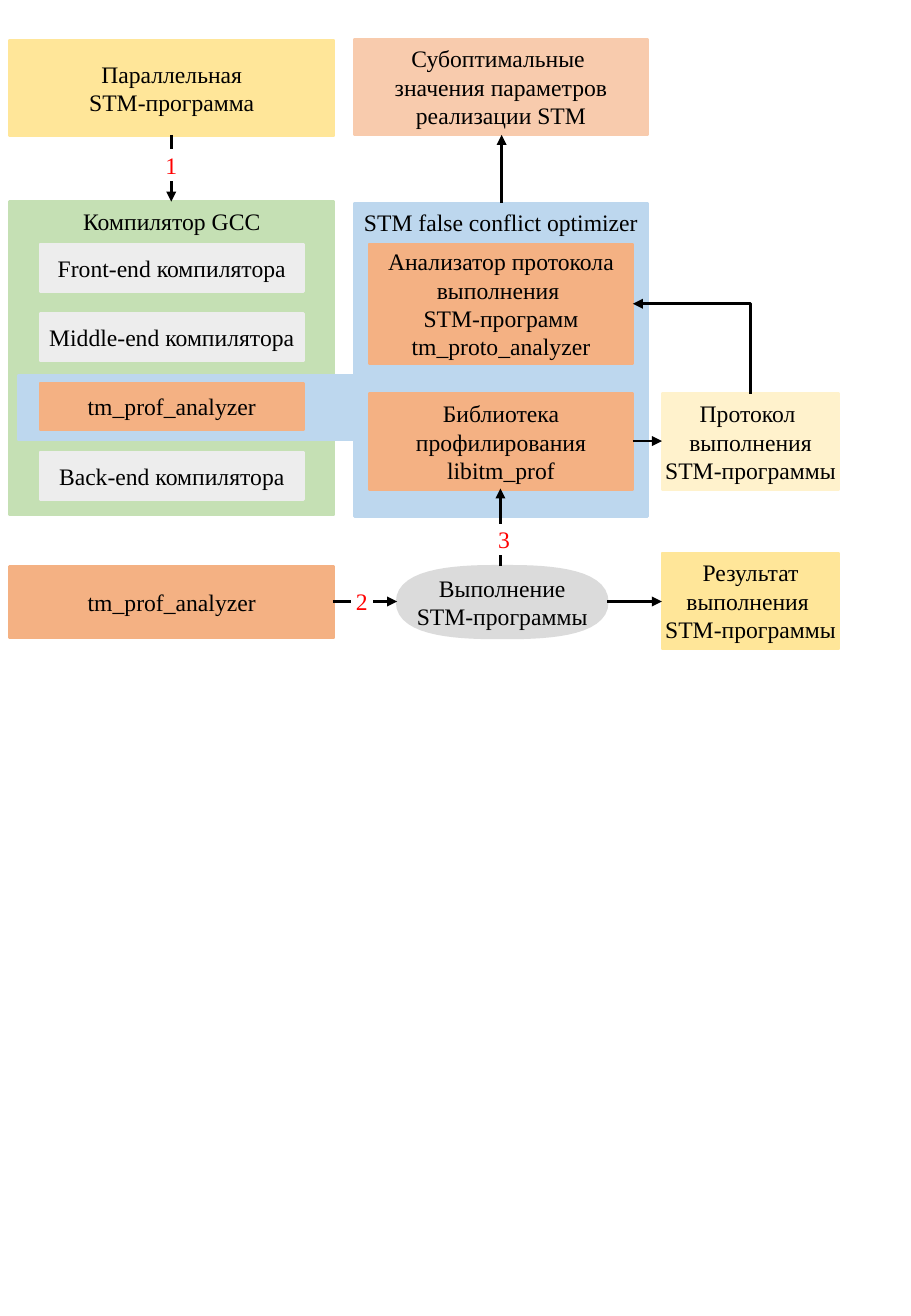
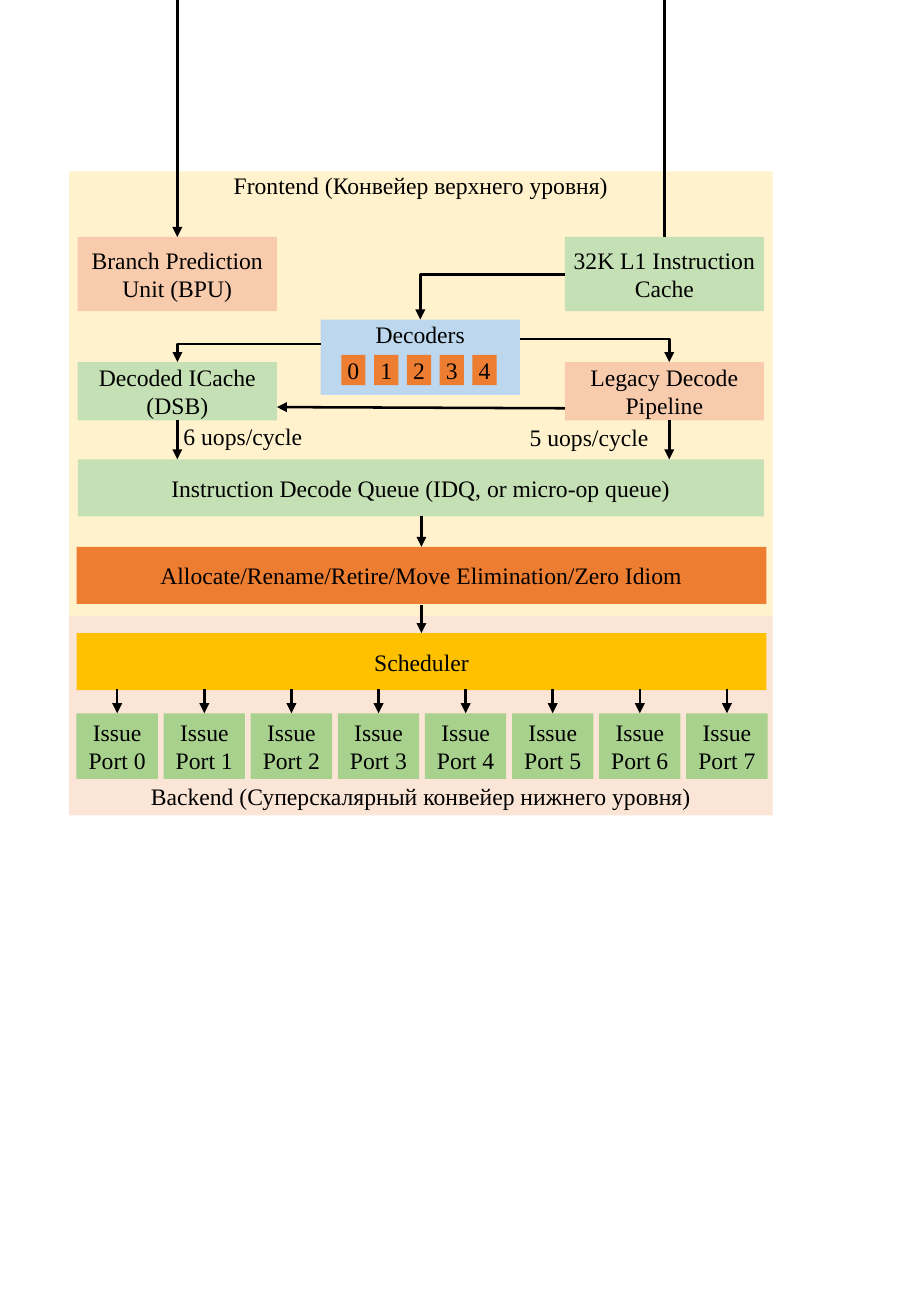
from dataclasses import dataclass
from typing import Optional

import lxml.etree
import pptx
import pptx.dml.color
import pptx.enum.shapes
import pptx.enum.text
import pptx.oxml.ns
import pptx.util

Inches = pptx.util.Inches
Pt = pptx.util.Pt
ANCHOR = pptx.enum.text.MSO_ANCHOR
ALIGN = pptx.enum.text.PP_ALIGN
CONNECTOR = pptx.enum.shapes.MSO_CONNECTOR
qn = pptx.oxml.ns.qn


@dataclass(frozen=True)
class Theme:
    font: str = "Times New Roman"
    size: float = 14
    stroke: float = 1.5
    ink: str = "000000"
    marker: str = "FF0000"
    paper: str = "FFFFFF"
    blue: str = "BDD7EE"
    green: str = "C5E0B4"
    leaf: str = "A9D18E"
    yellow: str = "FFE699"
    cream: str = "FFF2CC"
    gold: str = "FFC000"
    orange: str = "F4B183"
    deep_orange: str = "ED7D31"
    peach: str = "F8CBAD"
    blush: str = "FBE5D6"
    pale_gray: str = "EDEDED"
    gray: str = "DBDBDB"


THEME = Theme()


@dataclass(frozen=True)
class Box:
    left: float
    top: float
    width: float
    height: float
    fill: str
    text: str = ""
    anchor: ANCHOR = ANCHOR.MIDDLE
    ink: str = THEME.ink
    inset_top: float = 0
    inset_bottom: float = 0


@dataclass(frozen=True)
class Arrow:
    x1: float
    y1: float
    x2: float
    y2: float
    head: Optional[str] = None
    tail: Optional[str] = "triangle"


@dataclass(frozen=True)
class Label:
    left: float
    top: float
    text: str


def rgb(value: str) -> pptx.dml.color.RGBColor:
    return pptx.dml.color.RGBColor.from_string(value)


def write_text(shape, text: str, ink: str, align: ALIGN) -> None:
    shape.text_frame.text = text
    for paragraph in shape.text_frame.paragraphs:
        paragraph.alignment = align
        for run in paragraph.runs:
            run.font.name = THEME.font
            run.font.size = Pt(THEME.size)
            run.font.color.rgb = rgb(ink)


def set_insets(shape, left=0.0, top=0.0, right=0.0, bottom=0.0) -> None:
    frame = shape.text_frame
    frame.margin_left, frame.margin_right = Inches(left), Inches(right)
    frame.margin_top, frame.margin_bottom = Inches(top), Inches(bottom)


def paint(shape, fill: str, outlined: bool) -> None:
    shape.shadow.inherit = False
    shape.fill.solid()
    shape.fill.fore_color.rgb = rgb(fill)
    if outlined:
        shape.line.color.rgb = rgb(fill)
        shape.line.width = Pt(THEME.stroke)
    else:
        shape.line.fill.background()


def draw_box(slide, box: Box, outlined: bool) -> None:
    shape = slide.shapes.add_shape(
        pptx.enum.shapes.MSO_SHAPE.RECTANGLE,
        Inches(box.left), Inches(box.top), Inches(box.width), Inches(box.height))
    paint(shape, box.fill, outlined)
    if box.text:
        set_insets(shape, top=box.inset_top, bottom=box.inset_bottom)
        shape.text_frame.word_wrap = True
        shape.text_frame.vertical_anchor = box.anchor
        write_text(shape, box.text, box.ink, ALIGN.CENTER)


def draw_label(slide, label: Label) -> None:
    caption = slide.shapes.add_textbox(
        Inches(label.left), Inches(label.top), Inches(1.19), Inches(0.33))
    set_insets(caption)
    caption.text_frame.word_wrap = False
    write_text(caption, label.text, THEME.ink, ALIGN.LEFT)


def finish_line(connector, arrow: Arrow) -> None:
    connector.line.color.rgb = rgb(THEME.ink)
    connector.line.width = Pt(THEME.stroke)
    properties = connector.element.find(qn("p:spPr"))
    outline = properties.find(qn("a:ln"))
    for tag, kind in (("a:headEnd", arrow.head), ("a:tailEnd", arrow.tail)):
        if kind:
            lxml.etree.SubElement(outline, qn(tag)).set("type", kind)
    lxml.etree.SubElement(properties, qn("a:effectLst"))


def draw_arrow(slide, arrow: Arrow) -> None:
    connector = slide.shapes.add_connector(
        CONNECTOR.STRAIGHT, Inches(arrow.x1), Inches(arrow.y1),
        Inches(arrow.x2), Inches(arrow.y2))
    finish_line(connector, arrow)


def draw_rising_elbow(slide, arrow: Arrow) -> None:
    half_rise = abs(arrow.y2 - arrow.y1) / 2
    half_run = abs(arrow.x2 - arrow.x1) / 2
    center_x = (arrow.x1 + arrow.x2) / 2
    center_y = (arrow.y1 + arrow.y2) / 2
    connector = slide.shapes.add_connector(
        CONNECTOR.ELBOW,
        Inches(center_x - half_rise), Inches(center_y - half_run),
        Inches(center_x + half_rise), Inches(center_y + half_run))
    properties = connector.element.find(qn("p:spPr"))
    properties.find(qn("a:prstGeom")).set("prst", "bentConnector2")
    frame = properties.find(qn("a:xfrm"))
    rightward = arrow.x2 > arrow.x1
    frame.set("rot", str((90 if rightward else 270) * 60000))
    frame.set("flipV", "1")
    if rightward:
        frame.set("flipH", "1")
    finish_line(connector, arrow)


def bezier(points: list, t: float) -> tuple:
    weights = ((1 - t) ** 3, 3 * t * (1 - t) ** 2, 3 * t * t * (1 - t), t ** 3)
    return tuple(sum(w * p[axis] for w, p in zip(weights, points)) for axis in (0, 1))


def draw_execution(slide, box: Box) -> None:
    rx, ry = box.width / 2, box.height / 2
    cx, cy = box.left + rx, box.top + ry
    steps = 16
    quarter = [bezier([(1, 0), (1, 1), (0.33, 1), (0, 1)], i / steps)
               for i in range(steps)]
    outline = []
    for _ in range(4):
        outline += quarter
        quarter = [(-y, x) for x, y in quarter]
    corner = [bezier([(0, 1), (-0.33, 1), (-1, 1), (-1, 0)], i / steps)
              for i in range(steps)]
    outline[steps:2 * steps] = corner
    outline[3 * steps:] = [(-x, -y) for x, y in corner]
    points = [(Inches(cx + rx * x), Inches(cy + ry * y)) for x, y in outline]
    builder = slide.shapes.build_freeform(*points[0])
    builder.add_line_segments(points[1:], close=True)
    execution = builder.convert_to_shape()
    paint(execution, box.fill, True)
    set_insets(execution, left=0.11, right=0.11)
    execution.text_frame.word_wrap = True
    execution.text_frame.vertical_anchor = box.anchor
    write_text(execution, box.text, box.ink, ALIGN.CENTER)


def build_optimizer(slide) -> None:
    t = THEME
    boxes = [
        Box(2.92, 1.67, 2.41, 2.58, t.blue, "STM false conflict optimizer",
            ANCHOR.TOP, inset_top=0.04),
        Box(0.08, 0.33, 2.67, 0.79, t.yellow, "Параллельная\vSTM-программа"),
        Box(0.08, 1.66, 2.67, 2.58, t.green, "Компилятор GCC",
            ANCHOR.TOP, inset_top=0.04),
        Box(0.15, 3.09, 2.77, 0.53, t.blue),
        Box(2.92, 0.32, 2.41, 0.79, t.peach,
            "Субоптимальные \vзначения параметров реализации STM"),
        Box(3.04, 2.01, 2.17, 0.98, t.orange,
            "Анализатор протокола\vвыполнения \vSTM-программ\vtm_proto_analyzer"),
        Box(3.04, 3.24, 2.17, 0.79, t.orange,
            "Библиотека профилирования\vlibitm_prof"),
        Box(5.45, 3.24, 1.46, 0.79, t.cream,
            "Протокол \vвыполнения\vSTM-программы"),
        Box(0.08, 4.66, 2.67, 0.59, t.orange, "tm_prof_analyzer"),
        Box(5.45, 4.55, 1.46, 0.79, t.yellow,
            "Результат выполнения \vSTM-программы"),
    ]
    stages = [
        ("Front-end компилятора", t.pale_gray),
        ("Middle-end компилятора", t.pale_gray),
        ("tm_prof_analyzer", t.orange),
        ("Back-end компилятора", t.pale_gray),
    ]
    boxes += [Box(0.33, 2.01 + 0.57 * i, 2.17, 0.39, fill, name)
              for i, (name, fill) in enumerate(stages)]
    for box in boxes:
        draw_box(slide, box, True)
    draw_execution(slide, Box(3.27, 4.66, 1.73, 0.59, t.gray,
                              "Выполнение\vSTM-программы"))
    for arrow in (
        Arrow(5.21, 3.63, 5.45, 3.63),
        Arrow(2.74, 4.95, 3.27, 4.95),
        Arrow(5, 4.95, 5.45, 4.95),
        Arrow(4.12, 4.66, 4.12, 4.02),
        Arrow(1.41, 1.11, 1.41, 1.66),
        Arrow(4.13, 1.67, 4.13, 1.11),
    ):
        draw_arrow(slide, arrow)
    draw_rising_elbow(slide, Arrow(6.18, 3.24, 5.21, 2.5))
    markers = [(1.33, 1.24, 0.24), (2.9, 4.75, 0.39), (4.07, 4.32, 0.24)]
    for number, (left, top, height) in enumerate(markers, 1):
        draw_box(slide, Box(left, top, 0.16, height, t.paper, str(number),
                            ink=t.marker), True)


def build_pipeline(slide) -> None:
    t = THEME
    boxes = [
        Box(0.57, 5.07, 5.79, 1.64, t.blush,
            "Backend (Суперскалярный конвейер нижнего уровня)",
            ANCHOR.BOTTOM, inset_bottom=0.04),
        Box(0.57, 1.41, 5.79, 3.66, t.cream,
            "Frontend (Конвейер верхнего уровня)", ANCHOR.TOP),
        Box(4.65, 1.95, 1.64, 0.61, t.green, "32K L1 Instruction\nCache"),
        Box(0.64, 1.95, 1.64, 0.61, t.peach, "Branch Prediction Unit (BPU)"),
        Box(0.63, 4.5, 5.68, 0.47, t.deep_orange,
            "Allocate/Rename/Retire/Move Elimination/Zero Idiom"),
        Box(0.64, 2.98, 1.64, 0.48, t.green, "Decoded ICache\n(DSB)"),
        Box(0.63, 5.21, 5.68, 0.47, t.gold, "Scheduler"),
        Box(4.65, 2.98, 1.64, 0.48, t.peach, "Legacy Decode\nPipeline"),
        Box(0.64, 3.78, 5.65, 0.47, t.green,
            "Instruction Decode Queue (IDQ, or micro-op queue)"),
        Box(2.64, 2.63, 1.64, 0.62, t.blue, "Decoders", ANCHOR.TOP),
    ]
    boxes += [Box(2.81 + 0.27 * i, 2.92, 0.2, 0.25, t.deep_orange, str(i))
              for i in range(5)]
    port_width = 0.67
    port_lefts = [0.63 + (5.65 - 0.63) / 7 * i for i in range(8)]
    boxes += [Box(left, 5.87, port_width, 0.54, t.leaf,
                  "Issue\nPort 0" if i == 0 else f"Issue Port {i}")
              for i, left in enumerate(port_lefts)]
    for box in boxes:
        draw_box(slide, box, False)
    arrows = [Arrow(left + port_width / 2, 5.67, left + port_width / 2, 5.87)
              for left in port_lefts]
    arrows += [
        Arrow(3.47, 4.98, 3.47, 5.21),
        Arrow(3.47, 4.25, 3.47, 4.5),
        Arrow(4.65, 3.36, 2.28, 3.35),
        Arrow(5.51, 3.46, 5.51, 3.78),
        Arrow(1.46, 3.46, 1.46, 3.78),
        Arrow(1.46, 0, 1.46, 1.95),
        Arrow(5.47, 0, 5.47, 1.95, tail=None),
    ]
    for arrow in arrows:
        draw_arrow(slide, arrow)
    for x1, y1, x2, y2 in ((3.46, 2.63, 4.65, 2.26), (1.46, 2.98, 2.64, 2.83),
                           (5.51, 2.98, 4.28, 2.79)):
        draw_rising_elbow(slide, Arrow(x1, y1, x2, y2, "triangle", None))
    for label in (Label(1.51, 3.47, "6 uops/cycle"), Label(4.36, 3.48, "5 uops/cycle")):
        draw_label(slide, label)


deck = pptx.Presentation()
deck.slide_width, deck.slide_height = Inches(7.5), Inches(10.83)
for build in (build_optimizer, build_pipeline):
    build(deck.slides.add_slide(deck.slide_layouts[6]))
deck.save("out.pptx")
